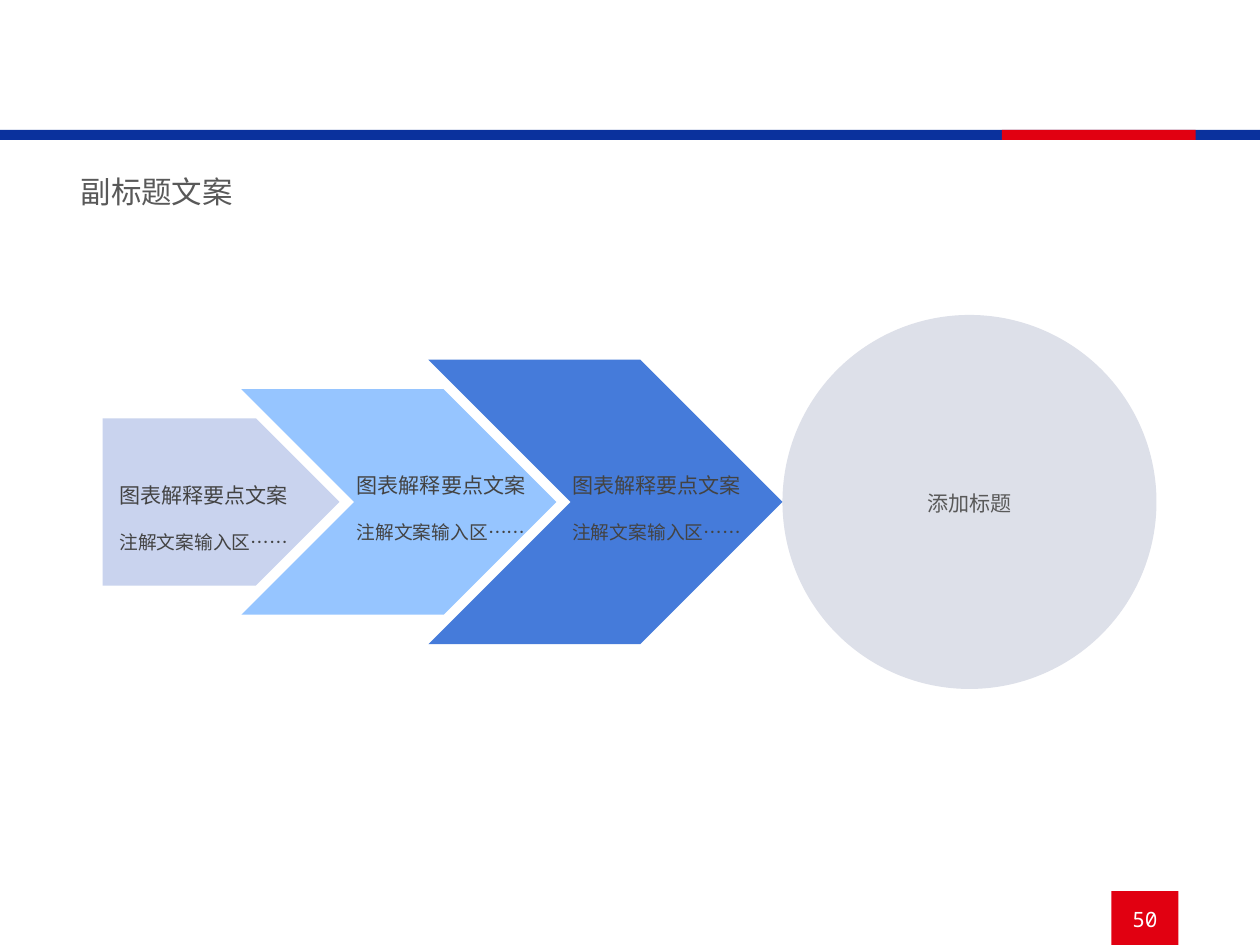
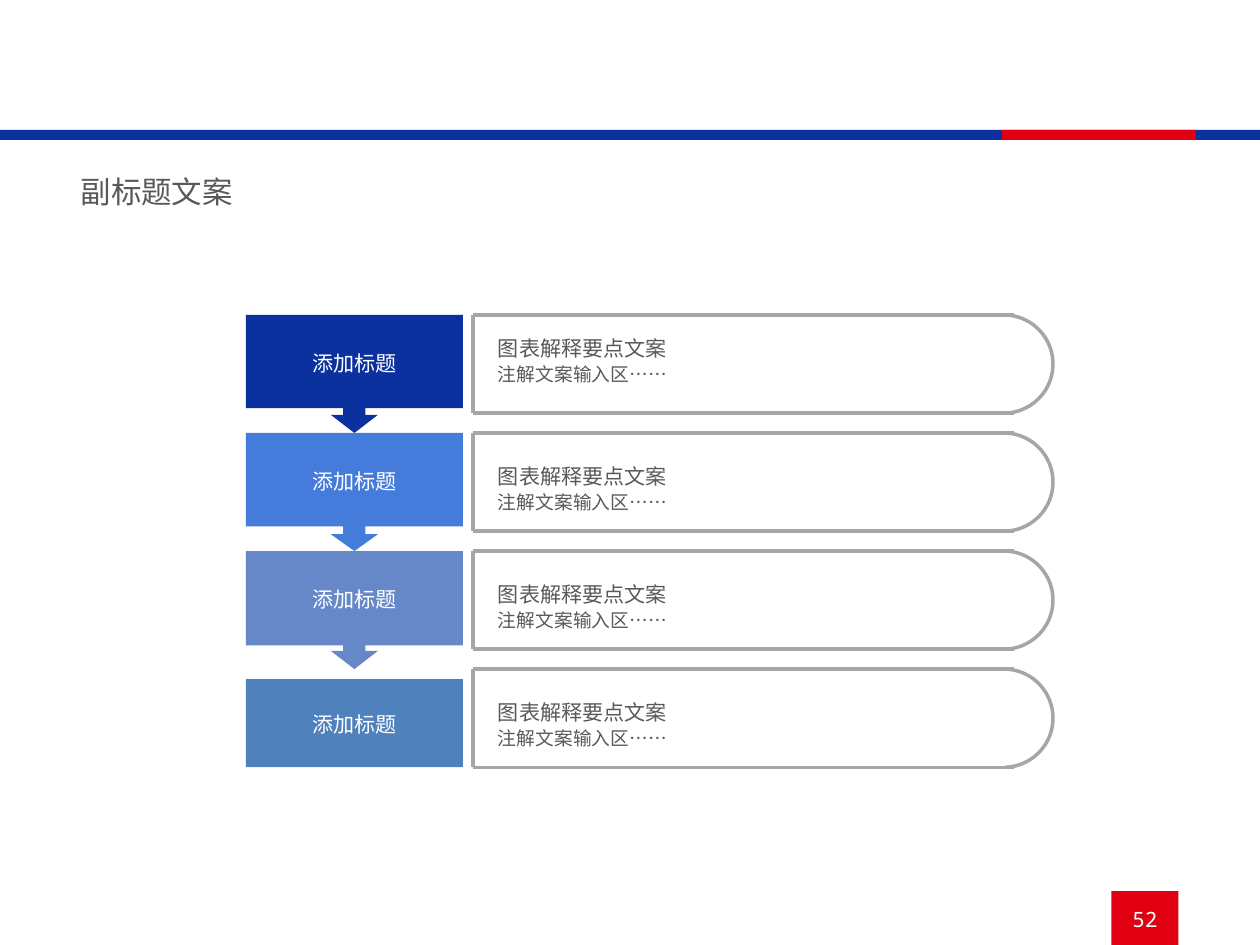
from dataclasses import dataclass

from lxml import etree
from pptx import Presentation
from pptx import util as u
from pptx.dml.color import RGBColor
from pptx.enum import shapes, text
from pptx.oxml.ns import qn

Cm, Pt = u.Cm, u.Pt
G = shapes.MSO_SHAPE
MIDDLE, TOP = text.MSO_ANCHOR.MIDDLE, text.MSO_ANCHOR.TOP
CENTER, LEFT = text.PP_ALIGN.CENTER, text.PP_ALIGN.LEFT


@dataclass(frozen=True)
class Theme:
    navy: str = "0A319D"
    red: str = "E10011"
    blue: str = "457BDA"
    sky: str = "96C5FF"
    pale: str = "C9D3EE"
    slate: str = "6687C8"
    steel: str = "4F81BD"
    mist: str = "DDE0E9"
    frame: str = "A6A6A6"
    dark: str = "434343"
    grey: str = "595959"
    white: str = "FFFFFF"
    font: str = "Noto Sans CJK SC"
    mono: str = "Noto Sans Mono"
    title_size: float = 13
    point_size: float = 9
    note_size: float = 8
    leading: float = 1.3


T = Theme()

# Content
SUBTITLE = "副标题文案"
LABEL = "添加标题"
POINT, NOTE = "图表解释要点文案", "注解文案输入区……"

# preset, fill, left, width, height, text left, text top (cm)
STAGES = [
    (G.PENTAGON, T.pale, 1.55, 3.57, 2.52, 1.55, 7.11),
    (G.CHEVRON, T.sky, 3.64, 4.75, 3.4, 5.13, 6.96),
    (G.CHEVRON, T.blue, 6.46, 5.34, 4.29, 8.38, 6.96),
]
# preset, fill, adjustments, top offset, height, text offset (cm)
STEPS = [
    (G.DOWN_ARROW_CALLOUT, T.navy, (0.188, 0.199, 0.153, 0.791), 0, 1.78, 0.15),
    (G.DOWN_ARROW_CALLOUT, T.blue, (0.188, 0.199, 0.142, 0.791), 0, 1.78, 0.3),
    (G.DOWN_ARROW_CALLOUT, T.slate, (0.188, 0.199, 0.153, 0.799), 0, 1.78, 0.3),
    (G.RECTANGLE, T.steel, (), 0.15, 1.33, 0.3),
]


# Helpers
def rgb(value):
    return RGBColor.from_string(value)


def write(sp, lines, color, align=LEFT, anchor=TOP, font=T.font, gap=0):
    """Fill a shape with (text, size) lines, gap points apart."""
    tf = sp.text_frame
    tf.word_wrap = True
    tf.vertical_anchor = anchor
    tf.margin_left = tf.margin_right = Cm(0.25)
    tf.margin_top = tf.margin_bottom = Cm(0.13)
    for i, (words, size) in enumerate(lines):
        p = tf.add_paragraph() if i else tf.paragraphs[0]
        p.alignment = align
        p.line_spacing = Pt(size * T.leading)
        p.space_before = Pt(gap if i else 0)
        r = p.add_run()
        r.text = words
        r.font.size, r.font.name = Pt(size), font
        r.font.color.rgb = rgb(color)
        etree.SubElement(r.font._element, qn("a:ea"), typeface=font)


def shape(parent, preset, x, y, w, h, fill=None, line=None, adj=()):
    sp = parent.add_shape(preset, Cm(x), Cm(y), Cm(w), Cm(h))
    sp.shadow.inherit = False
    for i, value in enumerate(adj):
        sp.adjustments[i] = value
    if fill:
        sp.fill.solid()
        sp.fill.fore_color.rgb = rgb(fill)
    else:
        sp.fill.background()
    if line:
        sp.line.color.rgb = rgb(line)
        sp.line.width = Pt(1.5)
    else:
        sp.line.fill.background()
    return sp


def rule(parent, x1, y1, x2, y2):
    c = parent.add_connector(shapes.MSO_CONNECTOR.STRAIGHT,
                             Cm(x1), Cm(y1), Cm(x2), Cm(y2))
    c.line.color.rgb = rgb(T.frame)
    c.line.width = Pt(1.5)
    etree.SubElement(c._element.spPr, qn("a:effectLst"))


def point_box(s, x, y, w, h, color, gap=0):
    sp = s.shapes.add_textbox(Cm(x), Cm(y), Cm(w), Cm(h))
    write(sp, [(POINT, T.point_size), (NOTE, T.note_size)], color, gap=gap)


def new_slide(prs, number):
    """Title, bands and page number shared by every slide."""
    s = prs.slides.add_slide(prs.slide_layouts[5])
    shape(s.shapes, G.RECTANGLE, 0, 1.96, 19, 0.15, T.navy)
    shape(s.shapes, G.RECTANGLE, 15.11, 1.96, 2.92, 0.15, T.red)
    page = shape(s.shapes, G.RECTANGLE, 16.76, 13.44, 1.01, 0.81, T.red)
    write(page, [(number, T.point_size)], T.white, CENTER, MIDDLE, T.mono)
    title = s.shapes.title
    title.left, title.top = Cm(0.97), Cm(2.44)
    title.width, title.height = Cm(4.01), Cm(0.84)
    write(title, [(SUBTITLE, T.title_size)], T.grey)
    return s


# Growing arrows leading to a circle
def arrows_slide(prs):
    s = new_slide(prs, "50")
    axis, diameter = 7.57, 5.64
    circle = shape(s.shapes, G.FLOWCHART_CONNECTOR, 11.8, axis - diameter / 2,
                   diameter, diameter, T.mist)
    write(circle, [(LABEL, T.point_size)], T.grey, CENTER, MIDDLE)
    for preset, fill, x, w, h, _, _ in STAGES:
        shape(s.shapes, preset, x, axis - h / 2, w, h, fill)
    for *_, x, y in STAGES:
        point_box(s, x, y, 3.56, 1.3, T.dark, gap=9)


# Steps downwards, each with a round-ended frame
def steps_slide(prs):
    s = new_slide(prs, "52")
    top, pitch = 4.75, 1.78
    left, right, height = 7.13, 15.29, 1.48
    for i, (preset, fill, adj, drop, h, text_drop) in enumerate(STEPS):
        y = top + i * pitch
        step = shape(s.shapes, preset, 3.71, y + drop, 3.27, h, fill, adj=adj)
        write(step, [(LABEL, T.point_size)], T.white, CENTER, MIDDLE)
        frame = s.shapes.add_group_shape().shapes
        for edge in (y, y + height):
            rule(frame, left, edge, right, edge)
        shape(frame, G.ARC, 14.4, y, height, height, line=T.frame,
              adj=(162, 53.097))
        rule(frame, left, y, left, y + height)
        point_box(s, 7.26, y + text_drop, 3.63, 0.99, T.grey)


def main():
    prs = Presentation()
    prs.slide_width, prs.slide_height = Cm(19), Cm(14.25)
    arrows_slide(prs)
    steps_slide(prs)
    prs.save("out.pptx")


if __name__ == "__main__":
    main()
